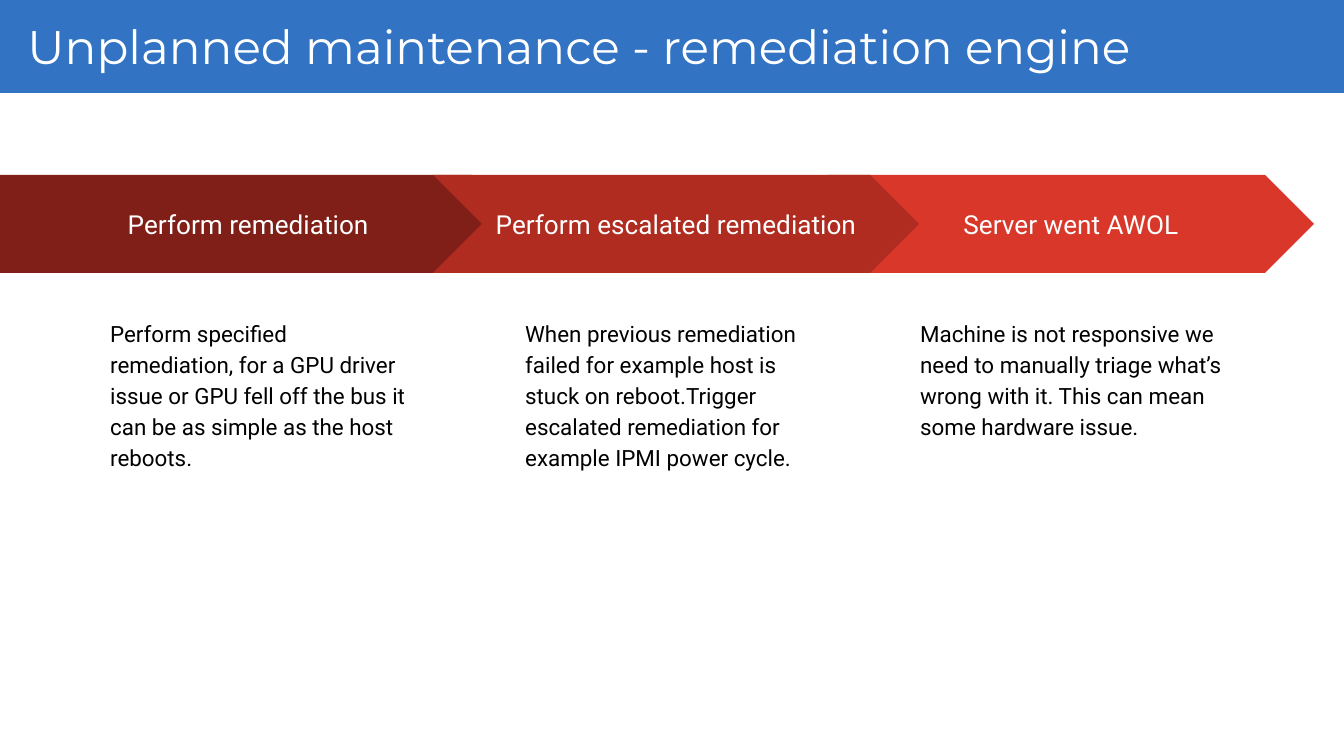
from lxml import etree
from pptx import Presentation, util as u
from pptx.dml.color import RGBColor
from pptx.enum import shapes, text
from pptx.oxml.ns import qn

PX = 914400 / 134.4  # EMU in one px
WIDTH, HEIGHT = 1344, 756
BLUE = RGBColor(0x00, 0x51, 0xB5)
WHITE = RGBColor(0xFF, 0xFF, 0xFF)
BLACK = RGBColor(0x00, 0x00, 0x00)
DARK_RED = RGBColor(0x80, 0x1F, 0x17)
MID_RED = RGBColor(0xB0, 0x2B, 0x20)
BRIGHT_RED = RGBColor(0xD8, 0x37, 0x29)
SHAPE = shapes.MSO_SHAPE
ARROW_HEIGHT = 98

# Arrow kind, colour, arrow left, arrow width, text left, heading, description;
# listed from back to front so that each arrow overlaps the right neighbour.
STAGES = [
    (SHAPE.CHEVRON, BRIGHT_RED, 828, 486, 907, "Server went AWOL",
     "Machine is not responsive we need to manually triage what’s wrong with it. "
     "This can mean some hardware issue."),
    (SHAPE.PENTAGON, DARK_RED, 0, 521, 97, "Perform remediation",
     "Perform specified remediation, for a GPU driver issue or GPU fell off the bus "
     "it can be as simple as the host reboots."),
    (SHAPE.CHEVRON, MID_RED, 433, 486, 512, "Perform escalated remediation",
     "When previous remediation failed for example host is stuck on reboot.Trigger "
     "escalated remediation for example IPMI power cycle."),
]


def px(*lengths):
    return [u.Emu(round(length * PX)) for length in lengths]


def add_plain_shape(parent, kind, box, colour):
    shape = parent.shapes.add_shape(kind, *px(*box))
    shape.shadow.inherit = False
    shape.fill.solid()
    shape.fill.fore_color.rgb = colour
    shape.line.fill.background()
    return shape


def write(shape, words, font, size, colour, align, anchor, spacing=1.0):
    frame = shape.text_frame
    frame.text = words
    frame.word_wrap = True
    frame.auto_size = text.MSO_AUTO_SIZE.NONE
    frame.vertical_anchor = anchor
    frame.margin_left = frame.margin_right = u.Inches(0.1)
    frame.margin_top = frame.margin_bottom = u.Inches(0.1)
    para = frame.paragraphs[0]
    para.alignment = align
    para.line_spacing = spacing
    span = para.runs[0]
    span.font.name = font
    span.font.size = u.Pt(size)
    span.font.color.rgb = colour


def add_header(page, box, words):
    left, top, width, height = box
    # Translucent bar, placed behind the title
    bar = add_plain_shape(page, SHAPE.RECTANGLE, box, BLUE)
    colour = bar.fill._xPr.find(qn("a:solidFill"))[0]
    etree.SubElement(colour, qn("a:alpha")).set("val", "80000")
    title = page.shapes.title
    title._element.addprevious(bar._element)
    # Wide enough to keep the title on one line
    title.left, title.top, title.width, title.height = px(
        left + 14, top + 4, 1150, height - 8)
    write(title, words, "Montserrat", 25.2, WHITE,
          text.PP_ALIGN.LEFT, text.MSO_ANCHOR.TOP)


def add_stage(page, top, stage):
    kind, colour, left, width, text_left, heading, description = stage
    group = page.shapes.add_group_shape()
    # Arrow with heading
    arrow = add_plain_shape(group, kind, (left, top, width, ARROW_HEIGHT), colour)
    arrow.adjustments[0] = 0.5
    write(arrow, heading, "Roboto", 14, WHITE,
          text.PP_ALIGN.CENTER, text.MSO_ANCHOR.MIDDLE)
    # Description below
    body = group.shapes.add_textbox(*px(text_left, top + 128, 329, 384))
    write(body, description, "Roboto", 12, BLACK,
          text.PP_ALIGN.LEFT, text.MSO_ANCHOR.TOP, 1.15)


def main():
    deck = Presentation()
    deck.slide_width, deck.slide_height = px(WIDTH, HEIGHT)
    page = deck.slides.add_slide(deck.slide_layouts.get_by_name("Title Only"))
    add_header(page, (0, 0, WIDTH, 93), "Unplanned maintenance - remediation engine")
    for stage in STAGES:
        add_stage(page, 175, stage)
    deck.save("out.pptx")


if __name__ == "__main__":
    main()
